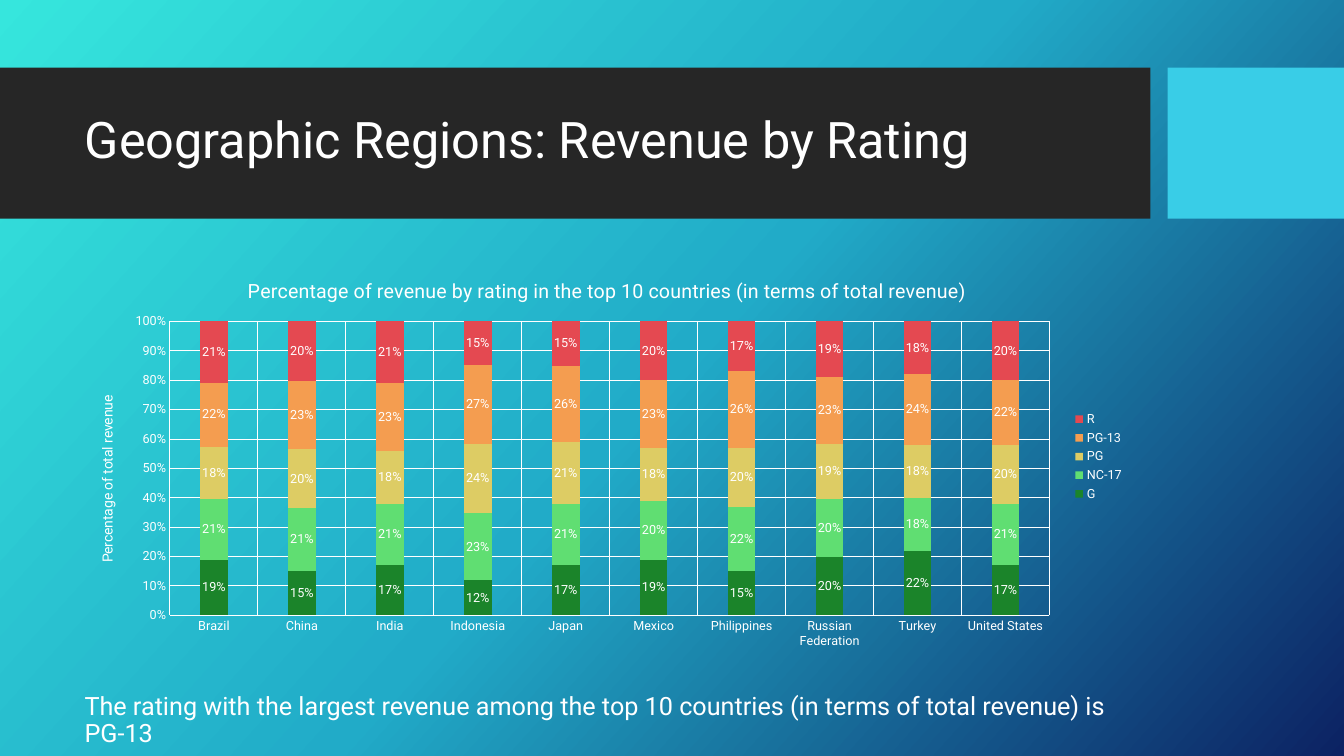
import copy
import pptx
import pptx.chart.data
import pptx.dml.color
import pptx.enum.chart
import pptx.enum.shapes
import pptx.enum.text
import pptx.oxml.ns
import pptx.oxml.xmlchemy
import pptx.util

RGB = pptx.dml.color.RGBColor
Inches = pptx.util.Inches
Pt = pptx.util.Pt
qn = pptx.oxml.ns.qn
Element = pptx.oxml.xmlchemy.OxmlElement
Anchor = pptx.enum.text.MSO_ANCHOR

WHITE = RGB(0xFF, 0xFF, 0xFF)
DARK = RGB(0x26, 0x26, 0x26)
CYAN = RGB(0x39, 0xCD, 0xE7)
STOPS = [RGB(0x36, 0xE6, 0xDD), RGB(0x21, 0xAB, 0xC8), RGB(0x0C, 0x22, 0x63)]
FACE = "Roboto"

LANDS = ["Brazil", "China", "India", "Indonesia", "Japan", "Mexico",
         "Philippines", "Russian Federation", "Turkey", "United States"]
RATINGS = [
    ("G", RGB(0x1B, 0x84, 0x2A), [19, 15, 17, 12, 17, 19, 15, 20, 22, 17]),
    ("NC-17", RGB(0x60, 0xDE, 0x72), [21, 21, 21, 23, 21, 20, 22, 20, 18, 21]),
    ("PG", RGB(0xDD, 0xCC, 0x64), [18, 20, 18, 24, 21, 18, 20, 19, 18, 20]),
    ("PG-13", RGB(0xF4, 0x9D, 0x50), [22, 23, 23, 27, 26, 23, 26, 23, 24, 22]),
    ("R", RGB(0xE4, 0x49, 0x51), [21, 20, 21, 15, 15, 20, 17, 19, 18, 20]),
]


def style(font, size):
    """Set the shared face and colour at a given size."""
    font.name, font.size, font.bold = FACE, Pt(size), False
    font.color.rgb = WHITE


def write(frame, text, size=18, anchor=None, gap=None):
    """Put formatted text in a frame, left-aligned when anchored."""
    para = frame.paragraphs[0]
    run = para.add_run()
    run.text = text
    style(run.font, size)
    if anchor is not None:
        frame.word_wrap = True
        frame.vertical_anchor = anchor
        para.alignment = pptx.enum.text.PP_ALIGN.LEFT
        para.line_spacing = gap


def backdrop(slide):
    """Fill the background with a diagonal three-stop gradient."""
    fill = slide.background.fill
    fill.gradient()
    fill.gradient_angle = 318
    stops = next(slide._element.iter(qn("a:gsLst")))
    stops.insert(1, copy.deepcopy(stops[0]))
    for i, (stop, tint) in enumerate(zip(fill.gradient_stops, STOPS)):
        stop.position = i / (len(STOPS) - 1)
        stop.color.rgb = tint


def block(slide, box, tint):
    """Draw a plain filled rectangle."""
    kind = pptx.enum.shapes.MSO_SHAPE.RECTANGLE
    shape = slide.shapes.add_shape(kind, *map(Inches, box))
    shape.shadow.inherit = False
    shape.fill.solid()
    shape.fill.fore_color.rgb = tint
    shape.line.fill.background()


def header(slide, box):
    """Build the title band with its accent block."""
    x, y, w, h = box
    side, gap = 1.75, 0.17
    block(slide, (x, y, w - side - gap, h), DARK)
    block(slide, (x + w - side, y, side, h), CYAN)
    title = slide.shapes.title
    title.left, title.top = Inches(x + 0.74), Inches(y + 0.15)
    title.width, title.height = Inches(10.51), Inches(1.18)
    slide.shapes._spTree.append(title._element)
    write(title.text_frame, "Geographic Regions: Revenue by Rating",
          size=36, anchor=Anchor.MIDDLE, gap=0.9)


def place(node, **spots):
    """Fix a chart part at fractions of the chart's size."""
    layout = node.find(qn("c:layout"))
    if layout is None:
        layout = Element("c:layout")
        node.insert(0, layout)
    manual = Element("c:manualLayout")
    layout.append(manual)
    rules = {"xMode": "edge", "yMode": "edge", **spots}
    if "w" in spots:
        rules = {"layoutTarget": "inner", **rules}
    for name, val in rules.items():
        item = Element("c:" + name)
        item.set("val", str(val))
        manual.append(item)


def head(title, text, size, x, y):
    """Write and place the title of a chart or axis."""
    write(title.text_frame, text, size=size)
    place(title._element, x=x, y=y)


def axes(chart):
    """Format both axes and their grids."""
    for axis in (chart.category_axis, chart.value_axis):
        style(axis.tick_labels.font, 9)
        axis.major_tick_mark = pptx.enum.chart.XL_TICK_MARK.NONE
        axis.has_major_gridlines = True
        for line in (axis.major_gridlines.format.line, axis.format.line):
            line.color.rgb = WHITE
            line.width = Pt(0.75)
    axis.format.line.fill.background()
    axis.minimum_scale, axis.maximum_scale, axis.major_unit = 0, 1, 0.1
    axis.tick_labels.number_format = "0%"
    axis.tick_labels.number_format_is_linked = False
    head(axis.axis_title, "Percentage of total revenue", 10, 0.02, 0.34)


def graph(slide, box):
    """Build the stacked chart of revenue shares."""
    data = pptx.chart.data.CategoryChartData(number_format="0%")
    data.categories = LANDS
    for name, _, shares in RATINGS:
        data.add_series(name, [share / 100 for share in shares])
    kind = pptx.enum.chart.XL_CHART_TYPE.COLUMN_STACKED_100
    chart = slide.shapes.add_chart(kind, *map(Inches, box), data).chart
    style(chart.font, 10)
    head(chart.chart_title, "Percentage of revenue by rating in the top 10 "
         "countries (in terms of total revenue)", 14, 0.16, 0.04)
    axes(chart)
    plot = chart.plots[0]
    plot.gap_width, plot.overlap = 219, 100
    plot.vary_by_categories = False
    for series, (_, tint, _) in zip(plot.series, RATINGS):
        series.format.fill.solid()
        series.format.fill.fore_color.rgb = tint
        labels = series.data_labels
        labels.show_value = True
        labels.position = pptx.enum.chart.XL_LABEL_POSITION.CENTER
        labels.number_format, labels.number_format_is_linked = "0%", False
        style(labels.font, 9)
    chart.has_legend = True
    chart.legend.position = pptx.enum.chart.XL_LEGEND_POSITION.RIGHT
    chart.legend.include_in_layout = False
    style(chart.legend.font, 9)
    area = next(chart._chartSpace.iter(qn("c:plotArea")))
    place(area, x=0.09, y=0.16, w=0.83, h=0.74)


def note(slide, box):
    """Write the finding below the chart."""
    frame = slide.shapes.add_textbox(*map(Inches, box)).text_frame
    frame.margin_bottom = Inches(0.08)
    write(frame, "The rating with the largest revenue among the top 10 countries "
          "(in terms of total revenue) is PG-13", anchor=Anchor.BOTTOM, gap=0.9)


def main():
    """Build and save the slide."""
    deck = pptx.Presentation()
    deck.slide_width, deck.slide_height = Inches(13.33), Inches(7.5)
    slide = deck.slides.add_slide(deck.slide_layouts[5])
    backdrop(slide)
    header(slide, (0, 0.67, 13.33, 1.5))
    note(slide, (0.74, 6.4, 10.51, 1.1))
    graph(slide, (0.74, 2.56, 10.51, 3.94))
    deck.save("out.pptx")


main()
